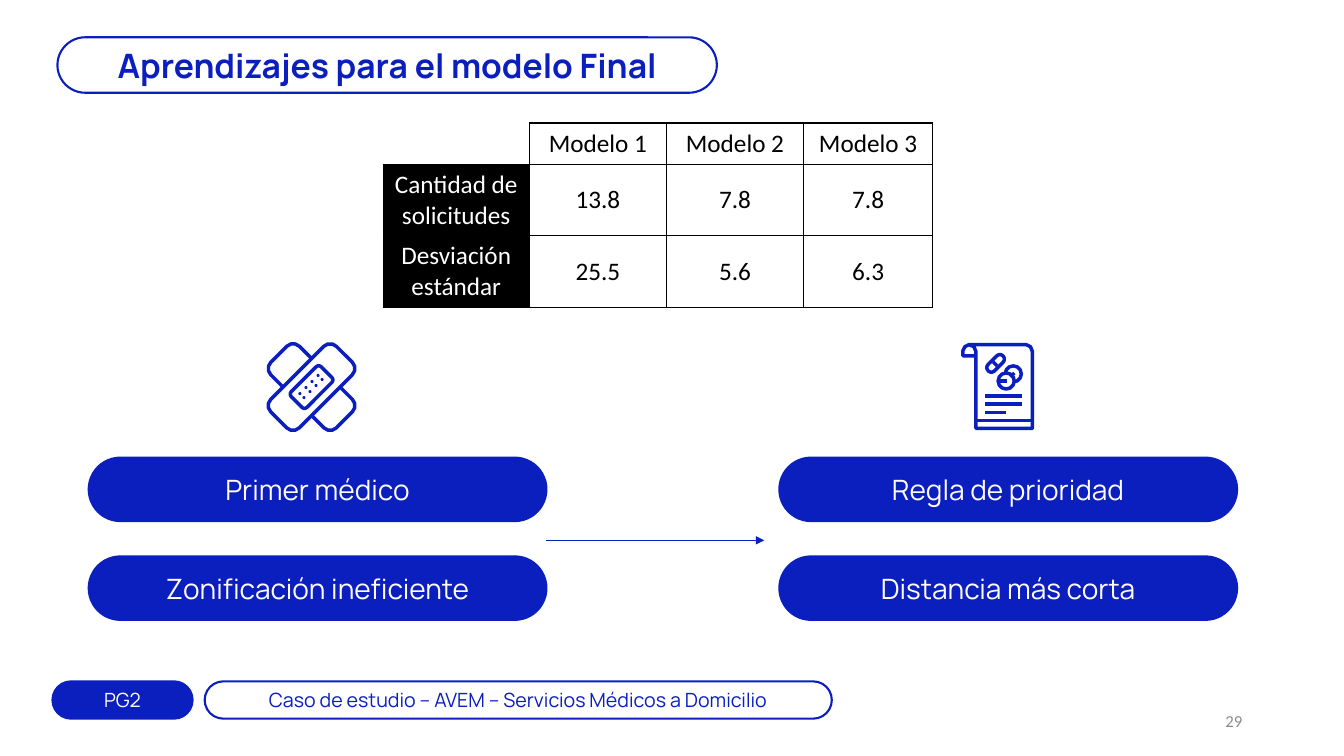
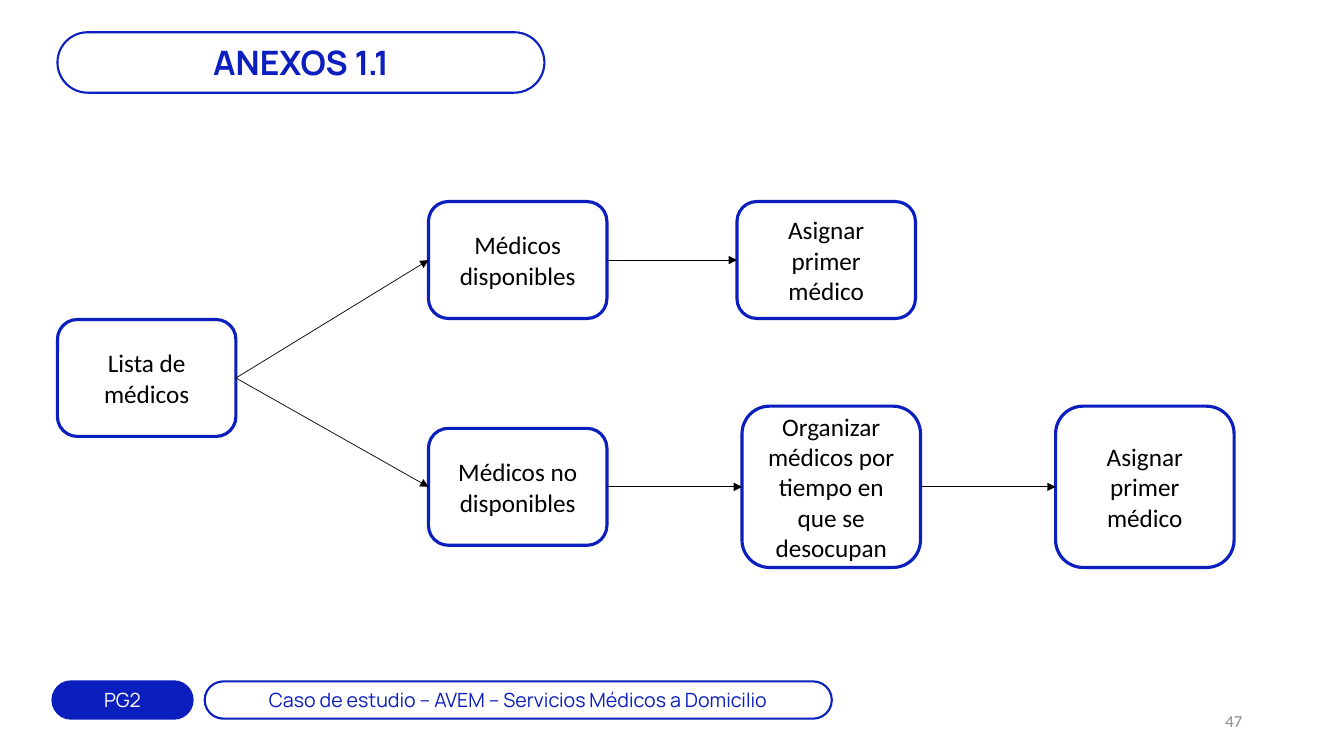
from dataclasses import dataclass

from lxml.etree import SubElement
from pptx import Presentation
from pptx.dml.color import RGBColor as Rgb
from pptx.enum.shapes import MSO_CONNECTOR as Conn, MSO_SHAPE as Geo
from pptx.enum.text import MSO_ANCHOR as Anchor, PP_ALIGN as Align
from pptx.oxml.ns import qn
from pptx.util import Inches, Pt


@dataclass(frozen=True)
class Theme:
    blue: str = "0B1EBE"
    cream: str = "FFFBF9"
    white: str = "FFFFFF"
    black: str = "000000"
    gray: str = "8C8C8C"
    brand: str = "Manrope"
    plain: str = "Calibri"
    title: int = 24
    pill: int = 20
    body: int = 18
    foot: int = 14
    page: int = 12
    icon: float = 2.5


T = Theme()


def shape(on, box, text="", size=T.body, fill=None, ink=T.blue, edge=1.5,
          font=T.brand, bold=False, adj=0.5, pad=0.1, geo=Geo.ROUNDED_RECTANGLE, turn=0):
    item = on.add_shape(geo, *map(Inches, box))
    item.shadow.inherit = False
    item.rotation = turn
    if geo == Geo.ROUNDED_RECTANGLE:
        item.adjustments[0] = adj
    if fill:
        item.fill.solid()
        item.fill.fore_color.rgb = Rgb.from_string(fill)
    else:
        item.fill.background()
    if edge:
        item.line.color.rgb = Rgb.from_string(T.blue)
        item.line.width = Pt(edge)
    else:
        item.line.fill.background()
    if text:
        frame = item.text_frame
        frame.word_wrap = True
        frame.vertical_anchor = Anchor.MIDDLE
        frame.margin_top = frame.margin_bottom = Inches(pad)
        frame.text = text
        para = frame.paragraphs[0]
        para.alignment = Align.CENTER
        face = para.runs[0].font
        face.name, face.size, face.bold = font, Pt(size), bold
        face.color.rgb = Rgb.from_string(ink)
    return item


def line(on, start, end, color=T.blue, width=T.icon, arrow=False):
    item = on.add_connector(Conn.STRAIGHT, *map(Inches, (*start, *end)))
    item.line.color.rgb = Rgb.from_string(color)
    item.line.width = Pt(width)
    if arrow:
        SubElement(item.line._ln, qn("a:tailEnd"), type="triangle")
    SubElement(item._element.spPr, qn("a:effectLst"))
    return item


deck = Presentation()
deck.slide_width, deck.slide_height = Inches(13.33), Inches(7.5)

# Title, footer and page number of every slide
heads = [
    ("Aprendizajes para el modelo Final", (0.57, 0.37, 6.54, 0.55), "29"),
    ("ANEXOS 1.1", (0.57, 0.32, 4.83, 0.6), "47"),
]
for title, box, page in heads:
    on = deck.slides.add_slide(deck.slide_layouts[6]).shapes
    shape(on, box, title, T.title, bold=True)
    shape(on, (0.52, 6.76, 1.39, 0.37), "PG2", T.foot, T.blue, T.cream)
    shape(on, (2.03, 6.76, 6.22, 0.37),
          "Caso de estudio – AVEM – Servicios Médicos a Domicilio", T.foot)
    note = on.add_textbox(*map(Inches, (9.42, 6.95, 3, 0.4))).text_frame
    note.word_wrap = True
    note.vertical_anchor = Anchor.MIDDLE
    note.text = page
    para = note.paragraphs[0]
    para.alignment = Align.RIGHT
    para.font.name, para.font.size = T.plain, Pt(T.page)
    para.font.color.rgb = Rgb.from_string(T.gray)

final, annex = (slide.shapes for slide in deck.slides)

# Lessons: two columns of pills and the arrow between them
pairs = [(0.88, ("Primer médico", "Zonificación ineficiente")),
         (7.73, ("Regla de prioridad", "Distancia más corta"))]
for x, words in pairs:
    for row, text in enumerate(words):
        shape(final, (x, 4.54 + row * 0.98, 4.54, 0.63), text, T.pill, T.blue, T.cream)
line(final, (5.42, 5.36), (7.58, 5.36), width=1, arrow=True)

# Bandage icon: crossed strips, pad and dots
patch = final.add_group_shape().shapes
for wide, high, turn, adj in [(0.92, 0.4, 45, 0.22), (0.92, 0.4, -45, 0.22),
                              (0.42, 0.22, -45, 0.16)]:
    shape(patch, (3.09 - wide / 2, 3.84 - high / 2, wide, high), fill=T.white,
          edge=T.icon, adj=adj, turn=turn)
for x, y in [(3.0, 3.93), (2.96, 3.89)]:
    for step in range(4):
        shape(patch, (x + step * 0.06, y - step * 0.06, 0.03, 0.03),
              fill=T.blue, edge=0, geo=Geo.OVAL)

# Prescription icon: scroll, text lines, capsule and tablets
sheet = final.add_group_shape().shapes
edge = [(9.68, 3.53), (9.55, 3.53), (9.55, 3.48), (9.57, 3.44), (9.61, 3.42),
        (10.18, 3.42), (10.22, 3.44), (10.24, 3.49), (10.24, 4.25), (9.68, 4.25),
        (9.68, 3.49), (9.66, 3.44), (9.61, 3.42)]
spots = [(Inches(x), Inches(y)) for x, y in edge]
pen = sheet.build_freeform(*spots[0])
pen.add_line_segments(spots[1:], close=False)
roll = pen.convert_to_shape()
roll.shadow.inherit = False
roll.fill.background()
roll.line.color.rgb = Rgb.from_string(T.blue)
roll.line.width = Pt(T.icon)
shape(sheet, (9.77, 3.56, 0.21, 0.09), edge=T.icon, turn=-45)
for x, y in [(9.97, 3.63), (9.9, 3.7)]:
    shape(sheet, (x, y, 0.16, 0.16), fill=T.white, edge=T.icon, geo=Geo.OVAL)
for start, end in [((9.68, 4.17), (10.24, 4.17)), ((9.77, 3.93), (10.14, 3.93)),
                   ((9.77, 4.01), (10.14, 4.01)), ((9.77, 4.09), (9.98, 4.09)),
                   ((9.85, 3.59), (9.89, 3.63)), ((9.9, 3.78), (9.99, 3.78)),
                   ((10.02, 3.74), (10.06, 3.7))]:
    line(sheet, start, end)

# Table of the three models
rows = [("", "Modelo 1", "Modelo 2", "Modelo 3"),
        ("Cantidad de solicitudes", "13.8", "7.8", "7.8"),
        ("Desviación estándar", "25.5", "5.6", "6.3")]
grid = final.add_table(3, 4, *map(Inches, (3.8, 1.22, 5.45, 1.83))).table
grid.first_row = grid.horz_banding = False
for col, wide in zip(grid.columns, (1.45, 1.36, 1.36, 1.28)):
    col.width = Inches(wide)
for row, high in zip(grid.rows, (0.41, 0.71, 0.71)):
    row.height = Inches(high)
for r, row in enumerate(rows):
    for c, text in enumerate(row):
        cell = grid.cell(r, c)
        label = c == 0 and r > 0
        cell.text = text
        cell.vertical_anchor = Anchor.MIDDLE
        para = cell.text_frame.paragraphs[0]
        para.alignment = Align.CENTER
        para.font.name, para.font.size = T.plain, Pt(T.body)
        para.font.color.rgb = Rgb.from_string(T.white if label else T.black)
        # The empty corner has no left or top border
        props = cell._tc.get_or_add_tcPr()
        for side in "LRTB":
            rule = SubElement(props, qn(f"a:ln{side}"), w=str(Pt(1)))
            if not text and side in "LT":
                SubElement(rule, qn("a:noFill"))
            else:
                ink = SubElement(rule, qn("a:solidFill"))
                SubElement(ink, qn("a:srgbClr"), val=T.black)
        if label:
            cell.fill.solid()
            cell.fill.fore_color.rgb = Rgb.from_string(T.black)
        else:
            cell.fill.background()

# Flow of doctors: boxes centred on their row, then arrows
wide, top, low = 1.77, 2.58, 4.83
nodes = {
    "list": (0.57, 3.75, 1.16, "Lista de médicos"),
    "free": (4.25, top, 1.16, "Médicos disponibles"),
    "busy": (4.25, low, 1.16, "Médicos no disponibles"),
    "first": (7.31, top, 1.16, "Asignar primer médico"),
    "sort": (7.36, low, 1.6, "Organizar médicos por tiempo en que se desocupan"),
    "next": (10.47, low, 1.6, "Asignar primer médico"),
}
boxes = {}
for key, (x, mid, high, text) in nodes.items():
    boxes[key] = shape(annex, (x, mid - high / 2, wide, high), text, ink=T.black,
                       edge=2.25, font=T.plain, adj=0.17, pad=0.05)
for a, b in [("list", "free"), ("list", "busy"), ("busy", "sort"),
             ("free", "first"), ("sort", "next")]:
    link = line(annex, (nodes[a][0] + wide, nodes[a][1]), nodes[b][:2],
                T.black, 0.5, arrow=True)
    link.begin_connect(boxes[a], 3)
    link.end_connect(boxes[b], 1)

deck.save("out.pptx")
